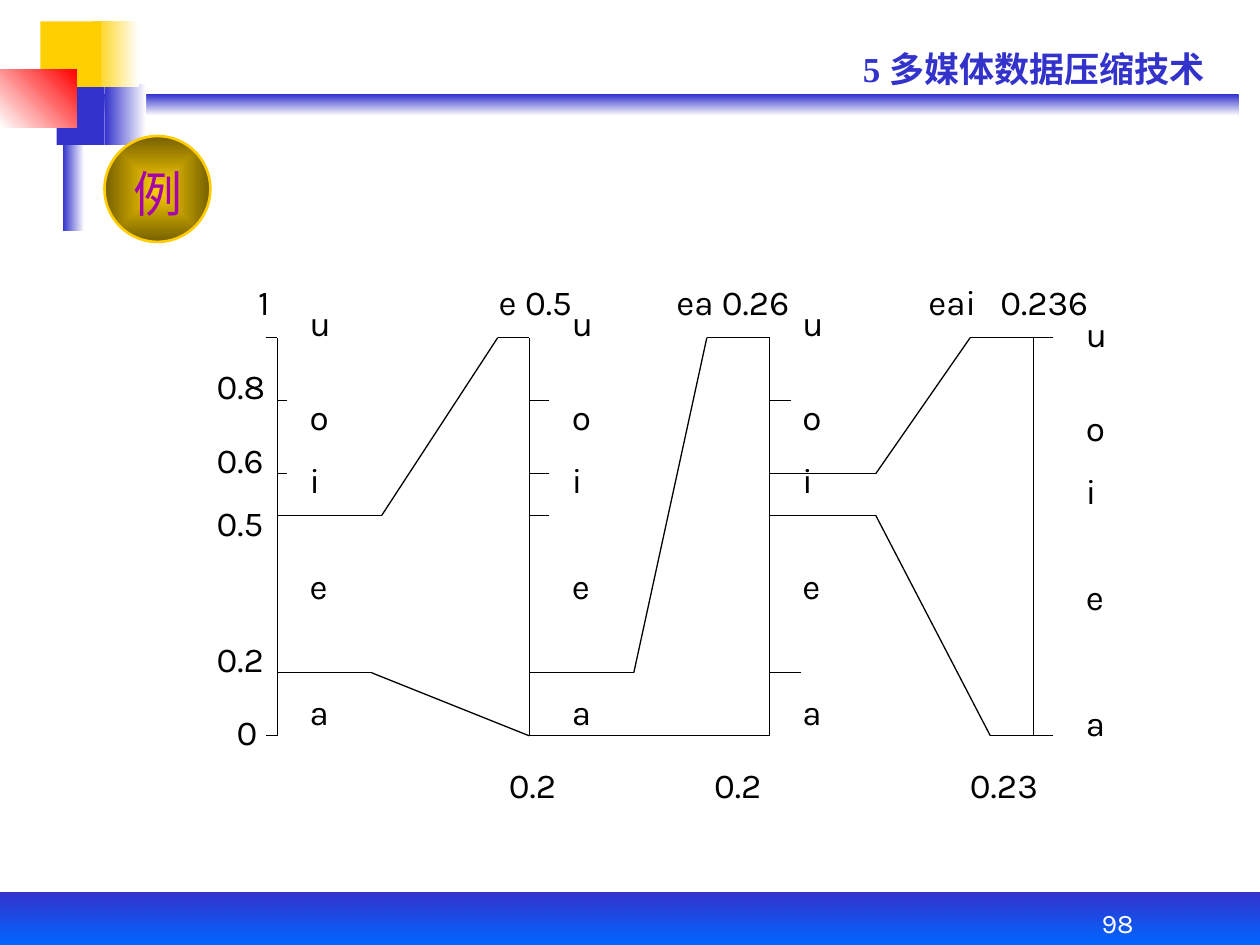
"""Build the arithmetic coding example slide with its nested interval diagram."""
from itertools import pairwise

from lxml.etree import SubElement
from pptx import Presentation
from pptx.dml.color import RGBColor
from pptx.enum.shapes import MSO_CONNECTOR, MSO_SHAPE
from pptx.enum.text import MSO_ANCHOR, MSO_AUTO_SIZE, PP_ALIGN
from pptx.oxml.ns import qn
from pptx.util import Inches, Pt

color = RGBColor.from_string


def add_block(kind, left, top, width, height, colors, angle=0):
    block = slide.shapes.add_shape(kind, Inches(left), Inches(top), Inches(width), Inches(height))
    block.shadow.inherit = False
    block.line.fill.background()
    if len(colors) == 1:
        block.fill.solid()
        block.fill.fore_color.rgb = color(colors[0])
    else:
        block.fill.gradient()
        block.fill.gradient_angle = angle
        for stop, shade in zip(block.fill.gradient_stops, colors):
            stop.color.rgb = color(shade)
    return block


def add_label(text, left, top, width, height=0.44, size=20, font="Karla", shade="000000"):
    label = slide.shapes.add_textbox(Inches(left), Inches(top), Inches(width), Inches(height))
    frame = label.text_frame
    frame.word_wrap = False
    frame.auto_size = MSO_AUTO_SIZE.SHAPE_TO_FIT_TEXT
    run = frame.paragraphs[0].add_run()
    run.text = text
    run.font.size = Pt(size)
    run.font.name = font
    run.font.color.rgb = color(shade)
    SubElement(run.font._element, qn("a:ea"), typeface="Noto Sans CJK JP")
    return frame


deck = Presentation()
deck.slide_width, deck.slide_height = Inches(10), Inches(7.5)
slide = deck.slides.add_slide(deck.slide_layouts[6])

BLUE, YELLOW, WHITE = "3333CC", "FFCF01", "FFFFFF"
decorations = [
    (0.58, 0.75, 9.25, 0.17, [BLUE, WHITE], 270),
    (0.83, 0.67, 0.33, 0.48, [BLUE, WHITE], 0),
    (0, 7.08, 10, 0.42, [BLUE, "0066FF"], 270),
    (0.5, 0.58, 0.17, 1.25, [BLUE, WHITE], 0),
    (0.45, 0.67, 0.38, 0.48, [BLUE], 0),
    (0.74, 0.17, 0.36, 0.52, [YELLOW, WHITE], 0),
    (0.32, 0.17, 0.48, 0.52, [YELLOW], 0),
    (0, 0.55, 0.61, 0.46, [WHITE, "FF0000"], 45),
]
for left, top, width, height, colors, angle in decorations:
    add_block(MSO_SHAPE.RECTANGLE, left, top, width, height, colors, angle)

chapter = add_label("5 多媒体数据压缩技术", 6.75, 0.33, 3, font="Times New Roman", shade=BLUE)
chapter.word_wrap = True
chapter.paragraphs[0].runs[0].font.bold = True

page = add_label("98", 8.08, 7.08, 1.58, 0.42, size=15.3, shade=WHITE)
page.word_wrap = True
page.auto_size = MSO_AUTO_SIZE.NONE
page.vertical_anchor = MSO_ANCHOR.BOTTOM
page.paragraphs[0].alignment = PP_ALIGN.CENTER
page.paragraphs[0].line_spacing = 0.9

first, second, third, fourth = 2.2, 4.2, 6.11, 8.2
y_one, y_eight, y_six, y_five, y_two, y_zero = 2.68, 3.18, 3.76, 4.09, 5.34, 5.84
axes = [[(x, y_one), (x, y_zero)] for x in (first, second, third, fourth)]
expansions = [
    [(first, y_five), (3.03, y_five), (3.95, y_one), (second, y_one)],
    [(first, y_two), (2.95, y_two), (second, y_zero), (third, y_zero)],
    [(second, y_two), (5.03, y_two), (5.61, y_one), (third, y_one)],
    [(third, y_six), (6.95, y_six), (7.7, y_one), (8.36, y_one)],
    [(third, y_five), (6.95, y_five), (7.86, y_zero), (8.36, y_zero)],
]
ticks = [
    (first, -0.09, [y_one, y_zero]),
    (first, 0.08, [y_eight, y_six]),
    (second, 0.16, [y_eight, y_six, y_five]),
    (third, 0.17, [y_eight]),
    (third, 0.25, [y_two]),
]
tick_lines = [[(x, y), (x + reach, y)] for x, reach, levels in ticks for y in levels]
for route in axes + expansions + tick_lines:
    for start, end in pairwise(route):
        segment = slide.shapes.add_connector(
            MSO_CONNECTOR.STRAIGHT, *[Inches(value) for value in start + end]
        )
        segment.line.color.rgb = color("000000")
        segment.line.width = Pt(0.75)
        SubElement(segment._element.spPr, qn("a:effectLst"))

interval_tops = [("1", 1.95, 0.35), ("e 0.5", 3.86, 0.85), ("ea 0.26", 5.27, 1.18),
                 ("eai", 7.27, 0.62), ("0.236", 7.84, 0.95)]
for text, left, width in interval_tops:
    add_label(text, left, 2.18, width)

interval_bottoms = [("0.2", 3.94, 0.65), ("0.2", 5.57, 0.65), ("0.23", 7.6, 0.8)]
for text, left, width in interval_bottoms:
    add_label(text, left, 6.01, width)

for text, top in [("0.8", 2.84), ("0.6", 3.43), ("0.5", 3.93), ("0.2", 5.01)]:
    add_label(text, 1.62, top, 0.65)
add_label("0", 1.78, 5.59, 0.4)

symbols = [("u", 0), ("o", 0.75), ("i", 1.25), ("e", 2.09), ("a", 3.09)]
for left, top in [(2.36, 2.34), (4.44, 2.34), (6.27, 2.34), (8.52, 2.43)]:
    for symbol, drop in symbols:
        add_label(symbol, left, top + drop, 0.4)

badge = add_block(MSO_SHAPE.OVAL, 0.83, 1.08, 0.84, 0.84, [YELLOW, "766000"])
badge.line.color.rgb = color("FFCC00")
badge.line.width = Pt(1.5)
gradient = badge._element.spPr.find(qn("a:gradFill"))
gradient.remove(gradient.find(qn("a:lin")))
center = SubElement(gradient, qn("a:path"), {"path": "rect"})
SubElement(center, qn("a:fillToRect"), dict.fromkeys("ltrb", "50000"))
example = add_label("例", 0.96, 1.25, 0.6, 0.5, size=28, font="Noto Sans CJK JP", shade="A603AB")
example.auto_size = MSO_AUTO_SIZE.NONE

deck.save("out.pptx")
